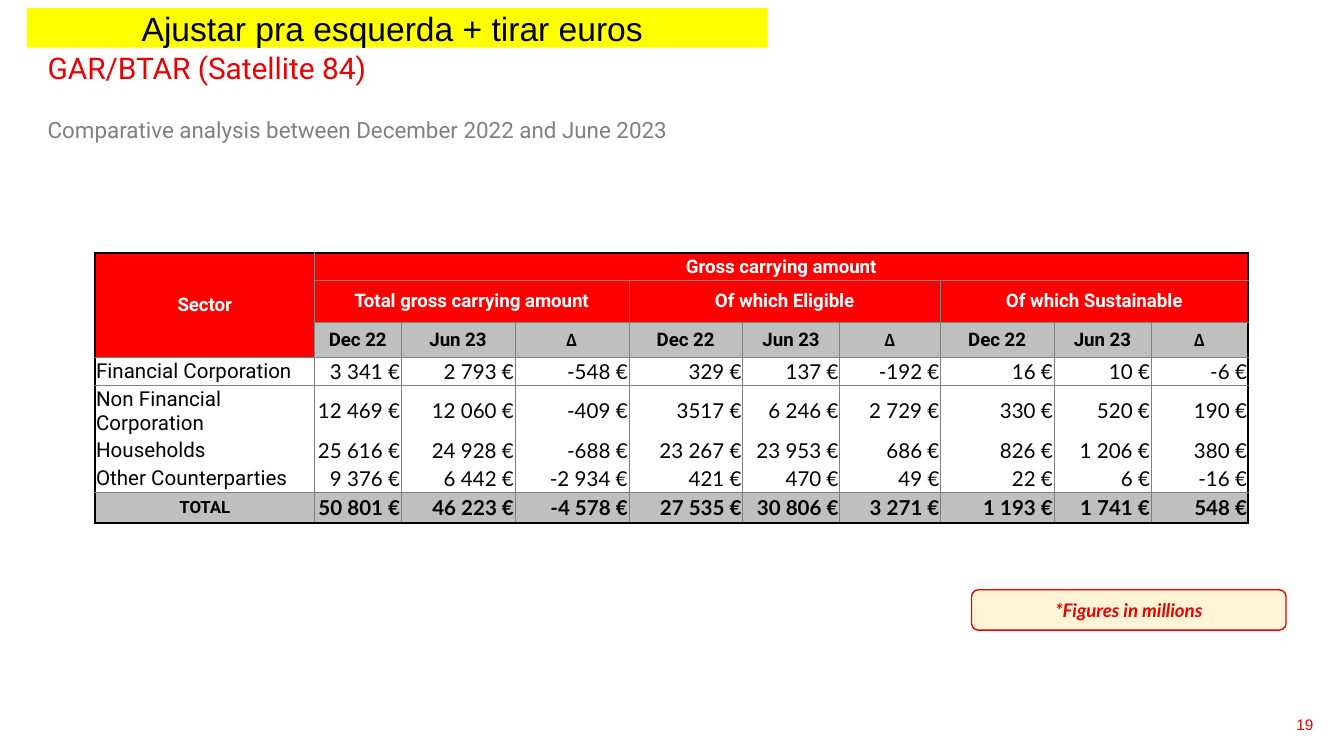
import dataclasses

import pptx
import pptx.dml.color
import pptx.enum.shapes
import pptx.enum.text
import pptx.oxml
import pptx.oxml.ns
import pptx.util

Pt = pptx.util.Pt
ALIGN = pptx.enum.text.PP_ALIGN
ANCHOR = pptx.enum.text.MSO_ANCHOR
SHAPE = pptx.enum.shapes.MSO_SHAPE


@dataclasses.dataclass(frozen=True)
class Theme:
    accent: str = "EB0000"
    header: str = "FF0000"
    band: str = "BFBFBF"
    grid: str = "808080"
    ink: str = "000000"
    paper: str = "FFFFFF"
    note: str = "FFF5D6"
    banner: str = "FFFF00"
    body: str = "Roboto"
    figures: str = "Lato"
    symbol: str = "Calibri"
    plain: str = "Arial"
    banner_size: float = 18
    title_size: float = 16
    subtitle_size: float = 12
    cell_size: float = 11
    header_size: float = 10
    total_size: float = 9
    page_size: float = 8.2


def rgb(value):
    return pptx.dml.color.RGBColor.from_string(value)


def write(tf, text, *, font, size, color, bold=False, italic=False,
          align=ALIGN.LEFT, before=None):
    p = tf.add_paragraph() if tf.text else tf.paragraphs[0]
    p.alignment = align
    if before is not None:
        p.space_before = Pt(before)
    r = p.add_run()
    r.text = text
    r.font.name = font
    r.font.size = Pt(size)
    r.font.bold = bold
    r.font.italic = italic
    r.font.color.rgb = rgb(color)


class SlideBuilder:
    def __init__(self, slide, theme):
        self.s = slide
        self.t = theme

    def text_box(self, x, y, w, h, inset=None):
        tf = self.s.shapes.add_textbox(Pt(x), Pt(y), Pt(w), Pt(h)).text_frame
        tf.word_wrap = True
        if inset is not None:
            tf.margin_left = tf.margin_right = Pt(inset)
            tf.margin_top = tf.margin_bottom = Pt(inset)
        return tf

    def shape(self, kind, x, y, w, h, fill, line=None, anchor=ANCHOR.MIDDLE):
        sp = self.s.shapes.add_shape(kind, Pt(x), Pt(y), Pt(w), Pt(h))
        sp.shadow.inherit = False
        sp.fill.solid()
        sp.fill.fore_color.rgb = rgb(fill)
        if line:
            sp.line.color.rgb = rgb(line)
            sp.line.width = Pt(0.75)
        else:
            sp.line.fill.background()
        tf = sp.text_frame
        tf.word_wrap = True
        tf.vertical_anchor = anchor
        return tf

    def table(self, x, y, widths, heights):
        gf = self.s.shapes.add_table(len(heights), len(widths), Pt(x), Pt(y),
                                     Pt(sum(widths)), Pt(sum(heights)))
        style = gf._element.xpath(".//a:tableStyleId")[0]
        style.text = "{2D5ABB26-0587-4C30-8999-92F81FD0307C}"
        tb = gf.table
        tb.first_row = tb.horz_banding = False
        for col, w in zip(tb.columns, widths):
            col.width = Pt(w)
        for row, h in zip(tb.rows, heights):
            row.height = Pt(h)
        return tb

    def cell(self, cell, text, fill=None, **fmt):
        cell.margin_left = cell.margin_right = cell.margin_top = Pt(0.5)
        cell.margin_bottom = Pt(0)
        cell.vertical_anchor = ANCHOR.MIDDLE
        if fill:
            cell.fill.solid()
            cell.fill.fore_color.rgb = rgb(fill)
        else:
            cell.fill.background()
        write(cell.text_frame, text, **fmt)

    def borders(self, tb, ruled):
        last_row, last_col = len(tb.rows), len(tb.columns)
        for i in range(last_row):
            for j in range(last_col):
                cell = tb.cell(i, j)
                height = cell.span_height if cell.is_merge_origin else 1
                width = cell.span_width if cell.is_merge_origin else 1
                edges = {"L": (j, last_col, True),
                         "R": (j + width, last_col, True),
                         "T": (i, last_row, i in ruled),
                         "B": (i + height, last_row, i + height in ruled)}
                tc_pr = cell._tc.get_or_add_tcPr()
                for side, (at, end, drawn) in edges.items():
                    if at in (0, end):
                        self.border(tc_pr, side, self.t.ink, 1)
                    elif drawn:
                        self.border(tc_pr, side, self.t.grid, 0.25)

    def border(self, tc_pr, side, color, width):
        ns = pptx.oxml.ns.nsdecls("a")
        tc_pr.append(pptx.oxml.parse_xml(
            f'<a:ln{side} {ns} w="{Pt(width)}"><a:solidFill>'
            f'<a:srgbClr val="{color}"/></a:solidFill></a:ln{side}>'))


GROUPS = ["Total gross carrying amount", "Of which Eligible", "Of which Sustainable"]
PERIODS = ["Dec 22", "Jun 23", "∆"]
SECTORS = [
    ("Financial Corporation", "3 341", "2 793", "-548", "329", "137", "-192",
     "16", "10", "-6"),
    ("Non Financial Corporation", "12 469", "12 060", "-409", "3517", "6 246",
     "2 729", "330", "520", "190"),
    ("Households", "25 616", "24 928", "-688", "23 267", "23 953", "686",
     "826", "1 206", "380"),
    ("Other Counterparties", "9 376", "6 442", "-2 934", "421", "470", "49",
     "22", "6", "-16"),
    ("TOTAL", "50 801", "46 223", "-4 578", "27 535", "30 806", "3 271",
     "1 193", "1 741", "548"),
]


def add_sector_table(b):
    t = b.t
    tb = b.table(51, 135.4, [117.4, 46.5, 61, 61, 61, 52, 54, 60.8, 52, 52],
                 [14.6, 22.7, 18.7, 15.1, 15.8, 15.1, 15.1, 16.5])
    tb.cell(0, 0).merge(tb.cell(2, 0))
    tb.cell(0, 1).merge(tb.cell(0, 9))
    for col in (1, 4, 7):
        tb.cell(1, col).merge(tb.cell(1, col + 2))
    b.borders(tb, ruled={1, 2, 3, 7})

    head = dict(font=t.body, size=t.header_size, bold=True, align=ALIGN.CENTER)
    red = dict(head, fill=t.header, color=t.paper)
    b.cell(tb.cell(0, 0), "Sector", **red)
    b.cell(tb.cell(0, 1), "Gross carrying amount", **red)
    for g, group in enumerate(GROUPS):
        b.cell(tb.cell(1, 1 + 3 * g), group, **red)
        for k, period in enumerate(PERIODS):
            font = t.symbol if period == "∆" else t.body
            b.cell(tb.cell(2, 1 + 3 * g + k), period,
                   **dict(head, fill=t.band, color=t.ink, font=font))

    for i, (name, *values) in enumerate(SECTORS, start=3):
        total = name == "TOTAL"
        row = dict(fill=t.band if total else None, color=t.ink, bold=total)
        b.cell(tb.cell(i, 0), name, font=t.body,
               size=t.total_size if total else t.cell_size,
               align=ALIGN.CENTER if total else ALIGN.LEFT, **row)
        for j, value in enumerate(values, start=1):
            b.cell(tb.cell(i, j), f"{value} €", font=t.figures,
                   size=t.cell_size, align=ALIGN.RIGHT, **row)


def main():
    prs = pptx.Presentation()
    prs.slide_width, prs.slide_height = Pt(720), Pt(405)
    t = Theme()
    b = SlideBuilder(prs.slides.add_slide(prs.slide_layouts[6]), t)

    page = b.text_box(548.6, 379.4, 162, 21.6)
    write(page, "19", font=t.plain, size=t.page_size, color=t.accent,
          align=ALIGN.RIGHT)

    title = b.text_box(25.5, 26.6, 694, 51, inset=0)
    write(title, "GAR/BTAR (Satellite 84)", font=t.body, size=t.title_size,
          color=t.accent)
    write(title, "Comparative analysis between December 2022 and June 2023",
          font=t.body, size=t.subtitle_size, color=t.grid, before=16.4)

    add_sector_table(b)

    note = b.shape(SHAPE.ROUNDED_RECTANGLE, 520.5, 316, 168.5, 21.6, t.note,
                   line=t.accent, anchor=ANCHOR.TOP)
    write(note, "*Figures in millions", font=t.figures, size=t.header_size,
          color=t.accent, bold=True, italic=True, align=ALIGN.CENTER)

    banner = b.shape(SHAPE.RECTANGLE, 14.2, 4.3, 397, 21.3, t.banner)
    write(banner, "Ajustar pra esquerda + tirar euros ", font=t.plain,
          size=t.banner_size, color=t.ink, align=ALIGN.CENTER)

    prs.save("out.pptx")


if __name__ == "__main__":
    main()
